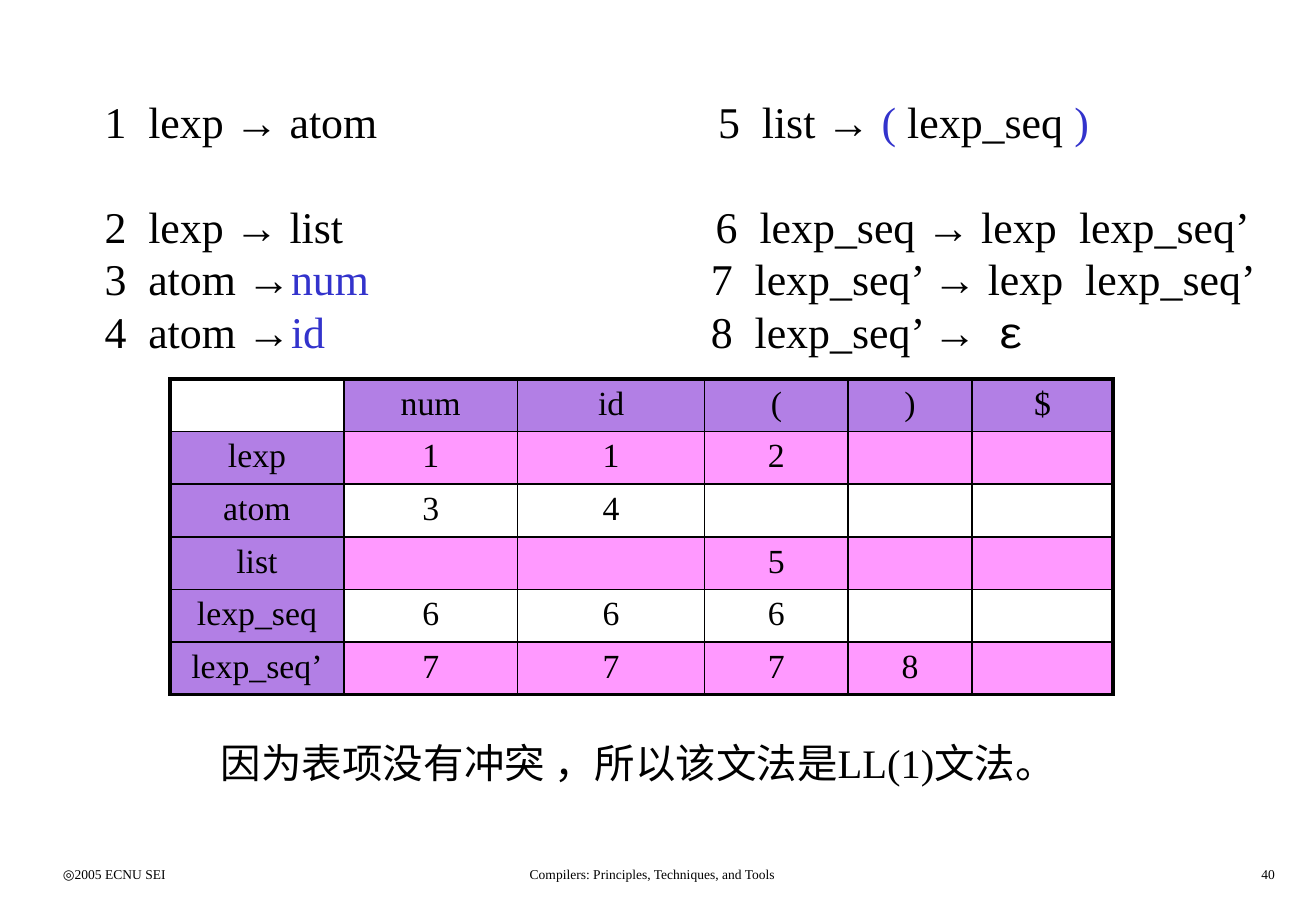
from dataclasses import dataclass

from lxml.etree import SubElement
from pptx import Presentation
from pptx.dml.color import RGBColor
from pptx.enum.text import MSO_ANCHOR, MSO_AUTO_SIZE, PP_ALIGN as Align
from pptx.oxml.ns import qn
from pptx.util import Inches, Pt

COLORS = {"black": "000000", "blue": "3333CC", "purple": "6600CC", "pink": "FF99FF"}
SERIF = "Times New Roman"
MONO = "Courier New"


@dataclass(frozen=True)
class Piece:
    """A run of text with its colour and font."""
    text: str
    color: str = "black"
    font: str = SERIF


@dataclass(frozen=True)
class RuleLine:
    """A row with two numbered grammar rules and its tab stops in inches."""
    pieces: tuple[Piece, ...]
    tabs: tuple[float, ...]
    gap_after: float = 0


@dataclass(frozen=True)
class Label:
    """A plain text box."""
    text: str
    left: float
    top: float
    width: float
    height: float
    size: float
    align: Align = Align.LEFT


RULES = (
    RuleLine((Piece("1\tlexp → atom\t5\tlist → "), Piece("( ", "blue"),
              Piece("lexp_seq "), Piece(")", "blue")), (0.36, 5.05, 5.41), 31),
    RuleLine((Piece("2\tlexp → list\t6\tlexp_seq → lexp\tlexp_seq’"),),
             (0.36, 5.03, 5.39, 8.02)),
    RuleLine((Piece("3\tatom →"), Piece("num", "blue"),
              Piece("\t7\tlexp_seq’ → lexp\tlexp_seq’")), (0.36, 4.99, 5.35, 8.07)),
    RuleLine((Piece("4\tatom →"), Piece("id", "blue"), Piece("\t8\tlexp_seq’ →\t"),
              Piece("ε", font=MONO)), (0.36, 4.99, 5.35, 7.35)),
)
PARSE_TABLE = (
    ("", "num", "id", "(", ")", "$"),
    ("lexp", "1", "1", "2", "", ""),
    ("atom", "3", "4", "", "", ""),
    ("list", "", "", "5", "", ""),
    ("lexp_seq", "6", "6", "6", "", ""),
    ("lexp_seq’", "7", "7", "7", "8", ""),
)
COL_WIDTHS = (1.43, 1.43, 1.54, 1.18, 1.02, 1.16)
TABLE_HEIGHT = 2.6
LABELS = (
    Label("◎2005 ECNU SEI", 0.42, 7.08, 2.26, 0.25, 8),
    Label("Compilers: Principles, Techniques, and Tools", 3.34, 7.08, 4.06, 0.25, 8,
          Align.CENTER),
    Label("40", 8.33, 7.08, 2.26, 0.25, 8, Align.RIGHT),
    Label("因为表项没有冲突 ，所以该文法是LL(1)文法。", 1.72, 6.03, 7.08, 0.5, 24),
)


def add_run(p, piece: Piece, size: float) -> None:
    """Append one formatted run to a paragraph."""
    r = p.add_run()
    r.text = piece.text
    r.font.name = piece.font
    r.font.size = Pt(size)
    r.font.color.rgb = RGBColor.from_string(COLORS[piece.color])


def add_label(s, label: Label) -> None:
    """Draw a wrapped text box."""
    box = s.shapes.add_textbox(Inches(label.left), Inches(label.top),
                               Inches(label.width), Inches(label.height))
    tf = box.text_frame
    tf.word_wrap = True
    p = tf.paragraphs[0]
    p.alignment = label.align
    add_run(p, Piece(label.text), label.size)


def fill_title(s) -> None:
    """Place the title and write the grammar rules into it."""
    title = s.shapes.title
    title.left, title.top = Inches(0.22), Inches(0.68)
    title.width, title.height = Inches(10.32), Inches(2.36)
    tf = title.text_frame
    tf.word_wrap = True
    tf.auto_size = MSO_AUTO_SIZE.NONE
    tf.vertical_anchor = MSO_ANCHOR.MIDDLE
    tf.margin_left = Inches(0.64)
    for i, rule in enumerate(RULES):
        p = tf.add_paragraph() if i else tf.paragraphs[0]
        p.alignment = Align.LEFT
        p.space_after = Pt(rule.gap_after)
        tabs = SubElement(p._p.get_or_add_pPr(), qn("a:tabLst"))
        for pos in rule.tabs:
            SubElement(tabs, qn("a:tab"), pos=str(Inches(pos)), algn="l")
        for piece in rule.pieces:
            add_run(p, piece, 26)


def set_borders(cell, outer: dict[str, bool]) -> None:
    """Draw the four sides of a cell, thicker on the table's outer edge."""
    tc_pr = cell._tc.get_or_add_tcPr()
    for side, is_outer in outer.items():
        ln = SubElement(tc_pr, qn(f"a:ln{side}"), w=str(Pt(2.25 if is_outer else 1)))
        fill = SubElement(ln, qn("a:solidFill"))
        SubElement(fill, qn("a:srgbClr"), val=COLORS["black"])


def fill_cell(cell, row: int, col: int) -> None:
    """Colour headings purple and odd rows pink, leaving the rest clear."""
    is_heading = (row == 0) != (col == 0)
    if not is_heading and row % 2 == 0:
        cell.fill.background()
        return
    cell.fill.solid()
    color = COLORS["purple" if is_heading else "pink"]
    cell.fill.fore_color.rgb = RGBColor.from_string(color)
    if is_heading:
        rgb = cell._tc.tcPr.find(f"{qn('a:solidFill')}/{qn('a:srgbClr')}")
        SubElement(rgb, qn("a:alpha"), val="50000")


def add_parse_table(s) -> None:
    """Draw the LL(1) parsing table."""
    n_rows, n_cols = len(PARSE_TABLE), len(COL_WIDTHS)
    frame = s.shapes.add_table(n_rows, n_cols, Inches(1.4), Inches(3.12),
                               Inches(sum(COL_WIDTHS)), Inches(TABLE_HEIGHT))
    table = frame.table
    table.first_row = table.horz_banding = False
    for column, width in zip(table.columns, COL_WIDTHS):
        column.width = Inches(width)
    for i, values in enumerate(PARSE_TABLE):
        table.rows[i].height = Inches(TABLE_HEIGHT / n_rows)
        for j, value in enumerate(values):
            cell = table.cell(i, j)
            set_borders(cell, {"L": j == 0, "R": j == n_cols - 1,
                               "T": i == 0, "B": i == n_rows - 1})
            fill_cell(cell, i, j)
            if value:
                p = cell.text_frame.paragraphs[0]
                p.alignment = Align.CENTER
                add_run(p, Piece(value), 20)


def main() -> None:
    """Build and save the slide."""
    prs = Presentation()
    prs.slide_width, prs.slide_height = Inches(10.83), Inches(7.5)
    s = prs.slides.add_slide(prs.slide_layouts[5])
    fill_title(s)
    add_parse_table(s)
    for label in LABELS:
        add_label(s, label)
    prs.save("out.pptx")


if __name__ == "__main__":
    main()
